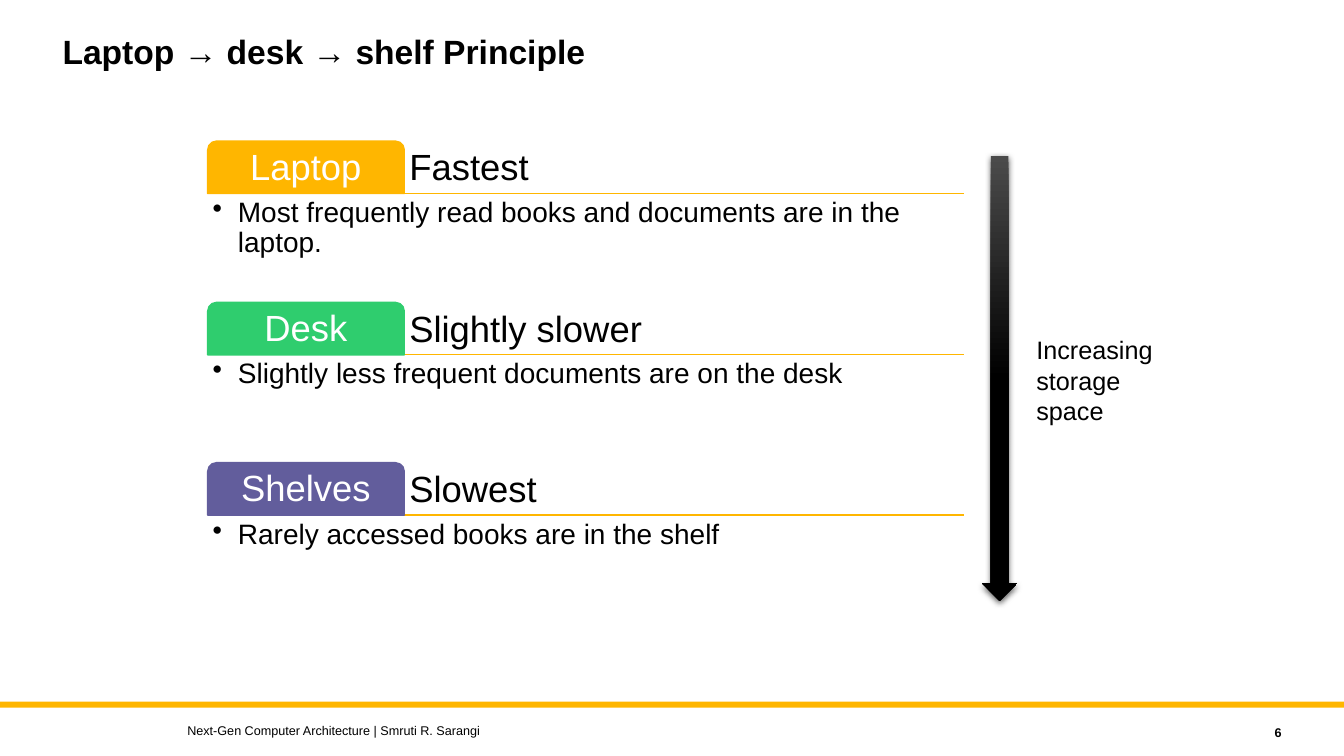
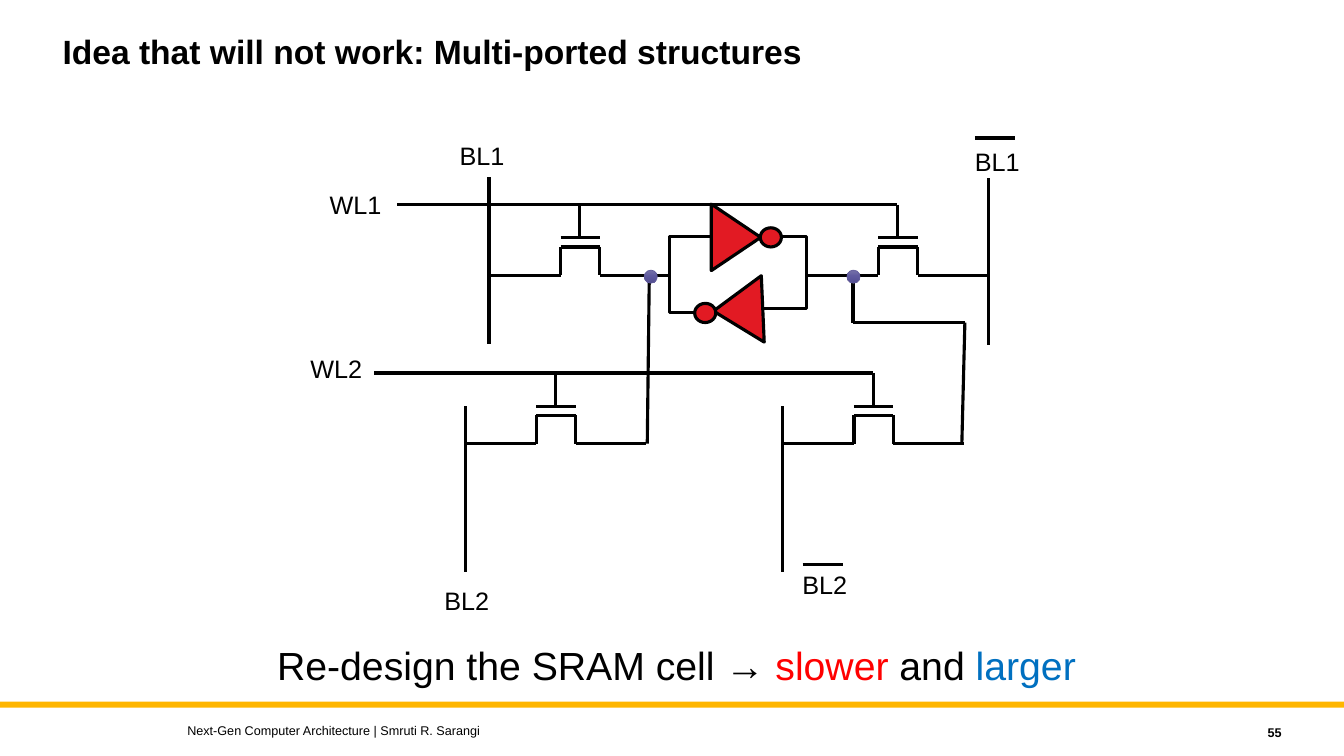
from dataclasses import dataclass

from lxml.etree import SubElement
from pptx import Presentation
from pptx.dml.color import RGBColor
from pptx.enum.shapes import MSO_CONNECTOR, MSO_SHAPE
from pptx.enum.text import MSO_ANCHOR, MSO_AUTO_SIZE, PP_ALIGN
from pptx.oxml.ns import qn
from pptx.util import Emu, Pt

# Shared style
PX = 9144  # EMU per px, 100 px to the inch
SLIDE_W, SLIDE_H = 1333, 750
FONT = "Arial"
FOOTER = "Next-Gen Computer Architecture | Smruti R. Sarangi"

BLACK = RGBColor(0x00, 0x00, 0x00)
WHITE = RGBColor(0xFF, 0xFF, 0xFF)
AMBER = RGBColor(0xFF, 0xB6, 0x00)
GREEN = RGBColor(0x2F, 0xCD, 0x6E)
PURPLE = RGBColor(0x62, 0x5D, 0x9C)
INVERTER_RED = RGBColor(0xE2, 0x1A, 0x23)
RED = RGBColor(0xFF, 0x00, 0x00)
BLUE = RGBColor(0x00, 0x70, 0xC0)
ARROW_GRADIENT = (RGBColor(0x4B, 0x4B, 0x4B), BLACK, BLACK)
NODE_GRADIENT = (RGBColor(0x75, 0x71, 0xA8), RGBColor(0x5F, 0x5A, 0x9F),
                 RGBColor(0x52, 0x4D, 0x90))


@dataclass(frozen=True)
class Box:
    x: int
    y: int
    w: int
    h: int

    def emu(self) -> tuple:
        return tuple(Emu(v * PX) for v in (self.x, self.y, self.w, self.h))


@dataclass(frozen=True)
class Level:
    name: str
    speed: str
    detail: str
    color: RGBColor


@dataclass(frozen=True)
class Label:
    text: str
    x: int
    y: int


@dataclass(frozen=True)
class Inverter:
    triangle: Box
    bubble: Box
    angle: float


LEVELS = (
    Level("Laptop", "Fastest",
          "Most frequently read books and documents are in the laptop.", AMBER),
    Level("Desk", "Slightly slower",
          "Slightly less frequent documents are on the desk", GREEN),
    Level("Shelves", "Slowest", "Rarely accessed books are in the shelf", PURPLE),
)
INVERTERS = (
    Inverter(Box(697, 211, 66, 49), Box(754, 226, 21, 19), 90),
    Inverter(Box(699, 283, 66, 49), Box(689, 301, 21, 19), 267.5),
)
TRANSISTORS = ((485, 273), (800, 273), (461, 440), (776, 440))
WIRES = (
    (394, 203, 890, 203), (371, 370, 866, 370),  # word lines
    (485, 176, 485, 341), (980, 177, 980, 342),  # first port bit lines
    (462, 403, 462, 567), (776, 403, 776, 567),  # second port bit lines
    (644, 273, 642, 440),  # left node to second port
    (846, 273, 846, 320), (846, 320, 957, 320), (957, 320, 954, 440),
)
LABELS = (
    Label("WL1", 317, 183), Label("WL2", 298, 346), Label("BL1", 446, 134),
    Label("BL2", 431, 576), Label("BL1", 957, 140), Label("BL2", 786, 560),
)
OVERBARS = ((967, 137), (796, 560))


# Drawing helpers
def style(p, size: int, color: RGBColor = BLACK, bold: bool = False) -> None:
    for r in p.runs:
        r.font.name, r.font.size, r.font.bold = FONT, Pt(size), bold
        r.font.color.rgb = color


def set_text(sp, text: str, size: int, color: RGBColor = BLACK, bold: bool = False,
             align=PP_ALIGN.LEFT, anchor=MSO_ANCHOR.TOP, spacing: float = 1.0,
             inset: int = 0, grow: bool = False):
    tf = sp.text_frame
    tf.text = text
    tf.word_wrap = True
    tf.auto_size = MSO_AUTO_SIZE.SHAPE_TO_FIT_TEXT if grow else MSO_AUTO_SIZE.NONE
    tf.vertical_anchor = anchor
    if inset:
        tf.margin_left = tf.margin_right = Emu(inset * PX)
        tf.margin_top = tf.margin_bottom = Emu(inset * PX)
    for p in tf.paragraphs:
        p.alignment, p.line_spacing = align, spacing
        style(p, size, color, bold)
    return tf


def add_text(s, box: Box, text: str, size: int, **options):
    return set_text(s.shapes.add_textbox(*box.emu()), text, size, **options)


def add_shape(s, kind, box: Box, fill: RGBColor, line=None, width: float = 1,
              angle: float = 0):
    sp = s.shapes.add_shape(kind, *box.emu())
    sp.shadow.inherit = False
    sp.fill.solid()
    sp.fill.fore_color.rgb = fill
    if line is None:
        sp.line.fill.background()
    else:
        sp.line.color.rgb, sp.line.width = line, Pt(width)
    sp.rotation = angle
    return sp


def set_gradient(sp, colors: tuple) -> None:
    """Fill from top to bottom with evenly spaced colours."""
    sp.fill.gradient()
    sp.fill.gradient_angle = 270
    stops = sp._element.spPr.find(qn("a:gradFill")).find(qn("a:gsLst"))
    for stop in list(stops):
        stops.remove(stop)
    for i, color in enumerate(colors):
        stop = SubElement(stops, qn("a:gs"), pos=str(i * 100000 // (len(colors) - 1)))
        SubElement(stop, qn("a:srgbClr"), val=str(color))


def add_line(s, x1: int, y1: int, x2: int, y2: int, color: RGBColor = BLACK,
             width: float = 2.25, kind=MSO_CONNECTOR.STRAIGHT):
    ends = (Emu(v * PX) for v in (x1, y1, x2, y2))
    line = s.shapes.add_connector(kind, *ends)
    line.line.color.rgb, line.line.width = color, Pt(width)
    SubElement(line._element.spPr, qn("a:effectLst"))
    return line


def add_elbow(s, x1: int, y1: int, x2: int, y2: int, via_x: int) -> None:
    line = add_line(s, x1, y1, x2, y2, kind=MSO_CONNECTOR.ELBOW)
    geometry = line._element.spPr.find(qn("a:prstGeom"))
    guides = geometry.find(qn("a:avLst"))
    if guides is None:
        guides = SubElement(geometry, qn("a:avLst"))
    bend = round((via_x - x1) / (x2 - x1) * 100000)
    SubElement(guides, qn("a:gd"), name="adj1", fmla=f"val {bend}")


def add_slide(prs, title: str, number: int):
    """Add a slide with its title, bottom band and footer."""
    s = prs.slides.add_slide(prs.slide_layouts[5])
    sp = s.shapes.title
    sp.left, sp.top, sp.width, sp.height = Box(52, 30, 1000, 90).emu()
    set_text(sp, title, 24, bold=True, spacing=0.9)
    add_shape(s, MSO_SHAPE.RECTANGLE, Box(0, 696, SLIDE_W, 6), AMBER)
    add_text(s, Box(176, 712, 800, 25), FOOTER, 9, anchor=MSO_ANCHOR.MIDDLE)
    add_text(s, Box(1141, 714, 140, 25), str(number), 9, bold=True,
             align=PP_ALIGN.RIGHT, anchor=MSO_ANCHOR.MIDDLE)
    return s


# Storage levels
def add_level(s, level: Level, y: int) -> None:
    x, tab_w, row_w, tab_h = 206, 195, 750, 52
    add_line(s, x, y + tab_h, x + row_w, y + tab_h, AMBER, 1)
    add_text(s, Box(x + tab_w, y, row_w - tab_w, tab_h), level.speed, 26,
             anchor=MSO_ANCHOR.BOTTOM, spacing=0.9, inset=5)
    tab = add_shape(s, MSO_SHAPE.ROUND_2_SAME_RECTANGLE, Box(x, y, tab_w, tab_h),
                    level.color, level.color)
    tab.adjustments[0], tab.adjustments[1] = 0.167, 0
    set_text(tab, level.name, 26, WHITE, align=PP_ALIGN.CENTER,
             anchor=MSO_ANCHOR.MIDDLE, spacing=0.9, inset=5)
    tf = add_text(s, Box(x, y + tab_h, row_w, 105), level.detail, 20,
                  spacing=0.9, inset=5)
    pPr = tf.paragraphs[0]._p.get_or_add_pPr()
    pPr.set("marL", str(25 * PX))
    pPr.set("indent", str(-25 * PX))
    SubElement(pPr, qn("a:buChar"), char="•")


def build_principle(prs) -> None:
    s = add_slide(prs, "Laptop → desk → shelf Principle", 6)
    for i, level in enumerate(LEVELS):
        add_level(s, level, 140 + 160 * i - i // 2)

    # Storage arrow
    arrow = add_shape(s, MSO_SHAPE.DOWN_ARROW, Box(974, 155, 35, 441), BLACK)
    set_gradient(arrow, ARROW_GRADIENT)
    effects = arrow._element.spPr.find(qn("a:effectLst"))
    shadow = SubElement(effects, qn("a:outerShdw"), blurRad=str(Pt(4.5)),
                        dist=str(Pt(1.5)), dir="5400000", rotWithShape="0")
    color = SubElement(shadow, qn("a:srgbClr"), val=str(BLACK))
    SubElement(color, qn("a:alpha"), val="63000")
    add_text(s, Box(1018, 327, 149, 101), "Increasing\nstorage\nspace", 18, grow=True)


# SRAM cell
def add_transistor(s, x: int, y: int) -> None:
    """Draw a transistor whose left contact starts at x, y."""
    left, right, top, plate = x + 71, x + 110, y - 28, y - 37
    for wire in ((x, y, left, y), (left, y, left, top), (left, top, right, top),
                 (right, top, right, y), (right, y, x + 180, y),
                 (left, plate, right, plate), (x + 90, y - 70, x + 90, plate)):
        add_line(s, *wire)


def build_sram(prs) -> None:
    s = add_slide(prs, "Idea that will not work: Multi-ported structures", 55)

    # Conclusion
    tf = add_text(s, Box(265, 631, 862, 46), "", 28)
    p = tf.paragraphs[0]
    for text, color in (("Re-design the SRAM cell → ", BLACK), ("slower", RED),
                        (" and ", BLACK), ("larger", BLUE)):
        r = p.add_run()
        r.text = text
        r.font.name, r.font.size, r.font.color.rgb = FONT, Pt(28), color

    # Cross-coupled inverters
    for inverter in INVERTERS:
        add_shape(s, MSO_SHAPE.ISOSCELES_TRIANGLE, inverter.triangle, INVERTER_RED,
                  BLACK, 2.25, inverter.angle)
        add_shape(s, MSO_SHAPE.OVAL, inverter.bubble, INVERTER_RED, BLACK, 2.25,
                  inverter.angle - 90)
    add_elbow(s, 689, 310, 706, 235, 664)
    add_elbow(s, 775, 235, 756, 306, 800)

    # Transistors and wires
    for x, y in TRANSISTORS:
        add_transistor(s, x, y)
    for wire in WIRES:
        add_line(s, *wire)

    # Storage nodes
    for x in (639, 840):
        node = add_shape(s, MSO_SHAPE.OVAL, Box(x, 268, 13, 13), PURPLE, PURPLE, 0.5)
        set_gradient(node, NODE_GRADIENT)

    # Line names, with bars over the complements
    for label in LABELS:
        add_text(s, Box(label.x, label.y, 100, 40), label.text, 18, grow=True)
    for x, y in OVERBARS:
        add_line(s, x, y, x + 40, y)


def main() -> None:
    prs = Presentation()
    prs.slide_width, prs.slide_height = Emu(SLIDE_W * PX), Emu(SLIDE_H * PX)
    build_principle(prs)
    build_sram(prs)
    prs.save("out.pptx")


if __name__ == "__main__":
    main()
